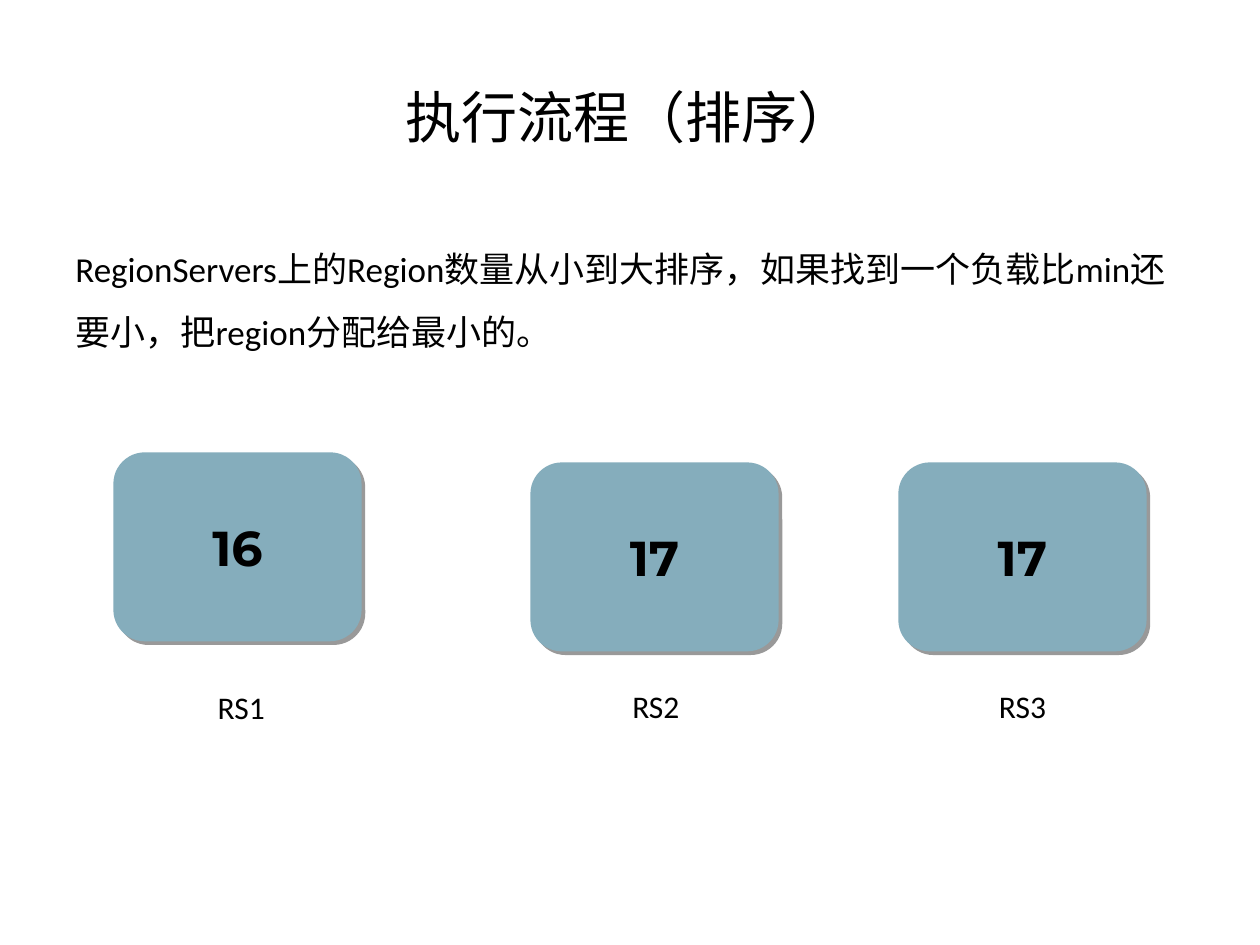
from lxml import etree
from pptx import Presentation
from pptx.dml.color import RGBColor
from pptx.enum.shapes import MSO_SHAPE
from pptx.enum.text import MSO_ANCHOR, PP_ALIGN
from pptx.oxml import parse_xml
from pptx.oxml.ns import nsdecls
from pptx.util import Inches, Pt

# Content
TITLE = "执行流程（排序）"
BODY = "RegionServers上的Region数量从小到大排序，如果找到一个负载比min还要小，把region分配给最小的。"
SERVERS = [  # name, region count, box left and top, label left and top
    ("RS1", "16", (0.9, 3.59), (1.63, 5.41)),
    ("RS2", "17", (4.21, 3.67), (4.92, 5.4)),
    ("RS3", "17", (7.13, 3.67), (7.83, 5.4)),
]
SERVER_SIZE = (1.97, 1.5)
LABEL_SIZE = (1.63, 0.4)

THEME = {
    "text": RGBColor(0x00, 0x00, 0x00),
    "server": RGBColor(0x85, 0xAD, 0xBC),
    "font": "Calibri",
    "count_font": "Montserrat",
    "title_size": 32,
    "body_size": 20,
    "count_size": 28,
    "label_size": 18,
}
SHADOW = (
    f'<a:effectLst {nsdecls("a")}>'
    '<a:outerShdw blurRad="0" dist="38100" dir="2700000" algn="tl" rotWithShape="0">'
    '<a:srgbClr val="000000"><a:alpha val="40000"/></a:srgbClr>'
    "</a:outerShdw></a:effectLst>"
)


def write(box, text, size, font=THEME["font"], bold=False,
          align=PP_ALIGN.LEFT, anchor=MSO_ANCHOR.TOP):
    frame = box.text_frame
    frame.word_wrap = True
    frame.vertical_anchor = anchor
    frame.text = text
    para = frame.paragraphs[0]
    para.alignment = align
    span = para.runs[0]
    span.font.name = font
    span.font.size = Pt(size)
    span.font.bold = bold
    span.font.color.rgb = THEME["text"]
    return para


def add_text(page, place, text, size, **style):
    box = page.shapes.add_textbox(*map(Inches, place))
    return write(box, text, size, **style)


def add_server(page, place, count):
    box = page.shapes.add_shape(MSO_SHAPE.ROUNDED_RECTANGLE, *map(Inches, place))
    box.fill.solid()
    box.fill.fore_color.rgb = THEME["server"]
    box.line.fill.background()
    box._element.spPr.append(parse_xml(SHADOW))
    write(box, count, THEME["count_size"], font=THEME["count_font"], bold=True,
          align=PP_ALIGN.CENTER, anchor=MSO_ANCHOR.MIDDLE)


deck = Presentation()
deck.slide_width, deck.slide_height = Inches(10), Inches(7.5)
page = deck.slides.add_slide(deck.slide_layouts[6])

# Title and explanation
add_text(page, (0.5, 0.3, 9, 1.25), TITLE, THEME["title_size"],
         align=PP_ALIGN.CENTER, anchor=MSO_ANCHOR.MIDDLE)
body = add_text(page, (0.5, 1.75, 9, 4.95), BODY, THEME["body_size"])
body.line_spacing = 1.5

# Region servers with their names
for name, count, box_at, label_at in SERVERS:
    add_server(page, box_at + SERVER_SIZE, count)
    add_text(page, label_at + LABEL_SIZE, name, THEME["label_size"])

deck.save("out.pptx")
